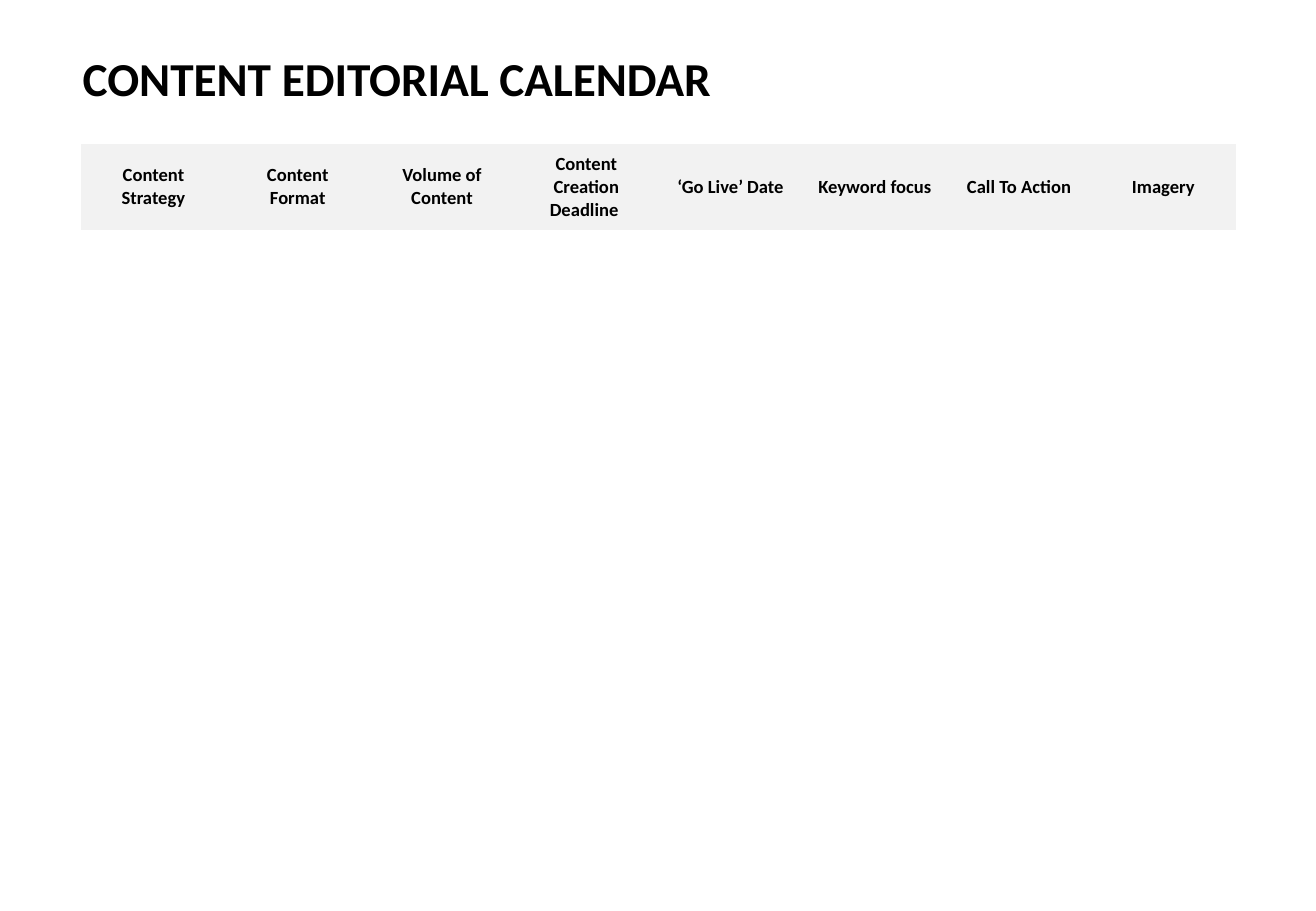
"""Build a content editorial calendar slide with an empty planning table."""
from pptx import Presentation
from pptx.dml.color import RGBColor
from pptx.enum.text import MSO_ANCHOR, PP_ALIGN
from pptx.oxml.ns import qn
from pptx.util import Cm, Pt

HEADINGS = [
    "Content Strategy", "Content Format", "Volume of Content", "Content Creation Deadline ",
    "‘Go Live’ Date", "Keyword focus", "Call To Action", "Imagery",
]
CONTENT_ROWS = 4
TABLE_WIDTH = 24.13
HEADER_HEIGHT = 1.8
CONTENT_HEIGHT = 3.25
NO_STYLE_NO_GRID = "{2D5ABB26-0587-4C30-8999-92F81FD0307C}"


def color(value):
    """Turn a hex string into a colour."""
    return RGBColor.from_string(value)


def format_text(paragraph, size):
    """Apply the bold black lettering of the slide."""
    for run in paragraph.runs:
        run.font.name = "Calibri"
        run.font.size = Pt(size)
        run.font.bold = True
        run.font.color.rgb = color("000000")


presentation = Presentation()
presentation.slide_width = Cm(27.51)
presentation.slide_height = Cm(19.05)
slide = presentation.slides.add_slide(presentation.slide_layouts[6])

title = slide.shapes.add_textbox(Cm(1.48), Cm(0.9), Cm(22.43), Cm(1.45))
title.text_frame.word_wrap = True
title.text_frame.vertical_anchor = MSO_ANCHOR.MIDDLE
title.text_frame.text = "CONTENT EDITORIAL CALENDAR"
format_text(title.text_frame.paragraphs[0], 28)

table_height = HEADER_HEIGHT + CONTENT_ROWS * CONTENT_HEIGHT
calendar = slide.shapes.add_table(
    CONTENT_ROWS + 1, len(HEADINGS), Cm(1.7), Cm(3.01), Cm(TABLE_WIDTH), Cm(table_height)
).table
calendar.first_row = False
calendar.horz_banding = False
calendar._tbl.tblPr.find(qn("a:tableStyleId")).text = NO_STYLE_NO_GRID

for row in calendar.rows:
    row.height = Cm(CONTENT_HEIGHT)
    for cell in row.cells:
        cell.fill.background()
calendar.rows[0].height = Cm(HEADER_HEIGHT)

for cell, heading in zip(calendar.rows[0].cells, HEADINGS):
    cell.fill.solid()
    cell.fill.fore_color.rgb = color("F2F2F2")
    cell.vertical_anchor = MSO_ANCHOR.MIDDLE
    cell.text_frame.text = heading
    paragraph = cell.text_frame.paragraphs[0]
    paragraph.alignment = PP_ALIGN.CENTER
    format_text(paragraph, 11)

presentation.save("out.pptx")
